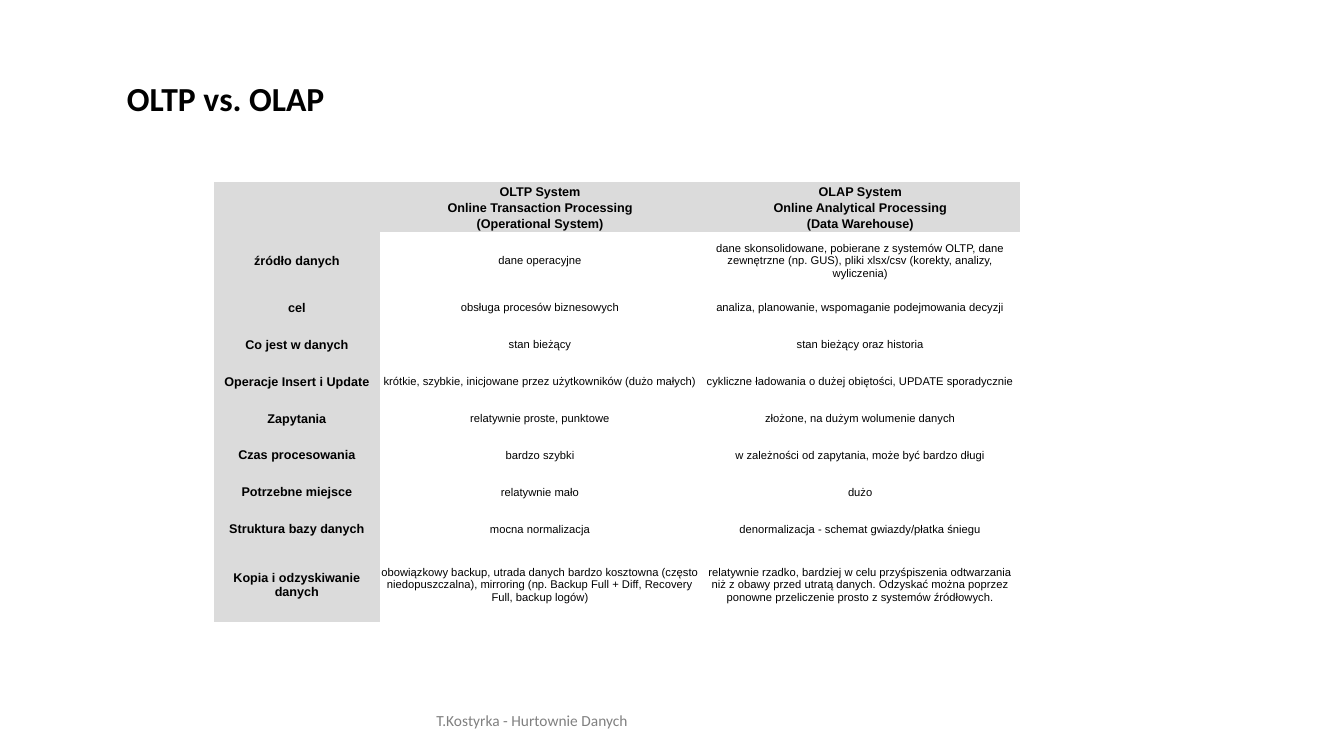
from pptx import Presentation, util as u
from pptx.dml.color import RGBColor
from pptx.enum import text as t
from pptx.oxml.ns import qn

BLACK = RGBColor(0x00, 0x00, 0x00)
GREY = RGBColor(0x80, 0x80, 0x80)
HEADER_FILL = RGBColor(0xDB, 0xDB, 0xDB)
NO_STYLE = "{2D5ABB26-0587-4C30-8999-92F81FD0307C}"

HEADINGS = [
    ("", "OLTP System", "OLAP System"),
    ("", "Online Transaction Processing", "Online Analytical Processing"),
    ("", "(Operational System)", "(Data Warehouse)"),
]
FEATURES = [
    ("źródło danych", "dane operacyjne",
     "dane skonsolidowane, pobierane z systemów OLTP, dane zewnętrzne "
     "(np. GUS), pliki xlsx/csv (korekty, analizy, wyliczenia)"),
    ("cel", "obsługa procesów biznesowych",
     "analiza, planowanie, wspomaganie podejmowania decyzji"),
    ("Co jest w danych", "stan bieżący", "stan bieżący oraz historia"),
    ("Operacje Insert i Update",
     "krótkie, szybkie, inicjowane przez użytkowników (dużo małych)",
     "cykliczne ładowania o dużej obiętości, UPDATE sporadycznie"),
    ("Zapytania", "relatywnie proste, punktowe",
     "złożone, na dużym wolumenie danych"),
    ("Czas procesowania", "bardzo szybki",
     "w zależności od zapytania, może być bardzo długi"),
    ("Potrzebne miejsce", "relatywnie mało", "dużo"),
    ("Struktura bazy danych", "mocna normalizacja",
     "denormalizacja - schemat gwiazdy/płatka śniegu"),
    ("Kopia i odzyskiwanie danych",
     "obowiązkowy backup, utrada danych bardzo kosztowna (często "
     "niedopuszczalna), mirroring (np. Backup Full + Diff, Recovery Full, "
     "backup logów)",
     "relatywnie rzadko, bardziej w celu przyśpiszenia odtwarzania niż z obawy "
     "przed utratą danych. Odzyskać można poprzez ponowne przeliczenie prosto "
     "z systemów źródłowych."),
]
COLUMN_SHARES = [1.65, 3.18, 3.18]
ROW_SHARES = [0.163] * 3 + [0.57] + [0.367] * 7 + [0.74]


def set_font(paragraph, name, size, color, bold=False):
    font = paragraph.font
    font.name, font.size, font.bold = name, u.Pt(size), bold
    font.color.rgb = color


def add_label(slide, box, words, size, color, bold=False):
    frame = slide.shapes.add_textbox(*map(u.Inches, box)).text_frame
    frame.word_wrap = True
    label = frame.paragraphs[0]
    label.text = words
    set_font(label, "Calibri", size, color, bold)
    return frame


def add_title(slide, box):
    title = add_label(slide, box, "OLTP vs. OLAP", 24, BLACK, True).paragraphs[0]
    title.alignment = t.PP_ALIGN.JUSTIFY
    properties = title._p.get_or_add_pPr()
    properties.set("marL", str(u.Inches(0.5)))
    properties.set("indent", "0")


def add_footer(slide, box):
    footer = add_label(slide, box, "T.Kostyrka - Hurtownie Danych", 11, GREY)
    footer.vertical_anchor = t.MSO_ANCHOR.MIDDLE


def fill_cell(cell, words, is_heading, is_label):
    cell.margin_left = cell.margin_right = cell.margin_top = u.Inches(0.01)
    cell.margin_bottom = 0
    cell.vertical_anchor = t.MSO_ANCHOR.BOTTOM if is_heading else t.MSO_ANCHOR.MIDDLE
    emphasised = is_heading or is_label
    if emphasised:
        cell.fill.solid()
        cell.fill.fore_color.rgb = HEADER_FILL
    else:
        cell.fill.background()
    entry = cell.text_frame.paragraphs[0]
    if words:
        entry.text = words
    entry.alignment = t.PP_ALIGN.CENTER
    set_font(entry, "Arial", 9 if emphasised else 8, BLACK, emphasised)


def add_comparison(slide, box):
    left, top, width, height = map(u.Inches, box)
    rows = HEADINGS + FEATURES
    table = slide.shapes.add_table(len(rows), len(COLUMN_SHARES),
                                   left, top, width, height).table
    table.first_row = table.horz_banding = False
    table._tbl.tblPr.find(qn("a:tableStyleId")).text = NO_STYLE
    for column, share in zip(table.columns, COLUMN_SHARES):
        column.width = int(width * share / sum(COLUMN_SHARES))
    for row, share in zip(table.rows, ROW_SHARES):
        row.height = int(height * share / sum(ROW_SHARES))
    for r, entries in enumerate(rows):
        for c, words in enumerate(entries):
            fill_cell(table.cell(r, c), words, r < len(HEADINGS), c == 0)


def main():
    deck = Presentation()
    deck.slide_width, deck.slide_height = u.Inches(13.33), u.Inches(7.5)
    slide = deck.slides.add_slide(deck.slide_layouts[6])
    add_title(slide, (0.66, 0.72, 10.93, 0.5))
    add_footer(slide, (4.23, 6.95, 6.46, 0.4))
    add_comparison(slide, (2.12, 1.81, 8, 4.36))
    deck.save("out.pptx")


if __name__ == "__main__":
    main()
